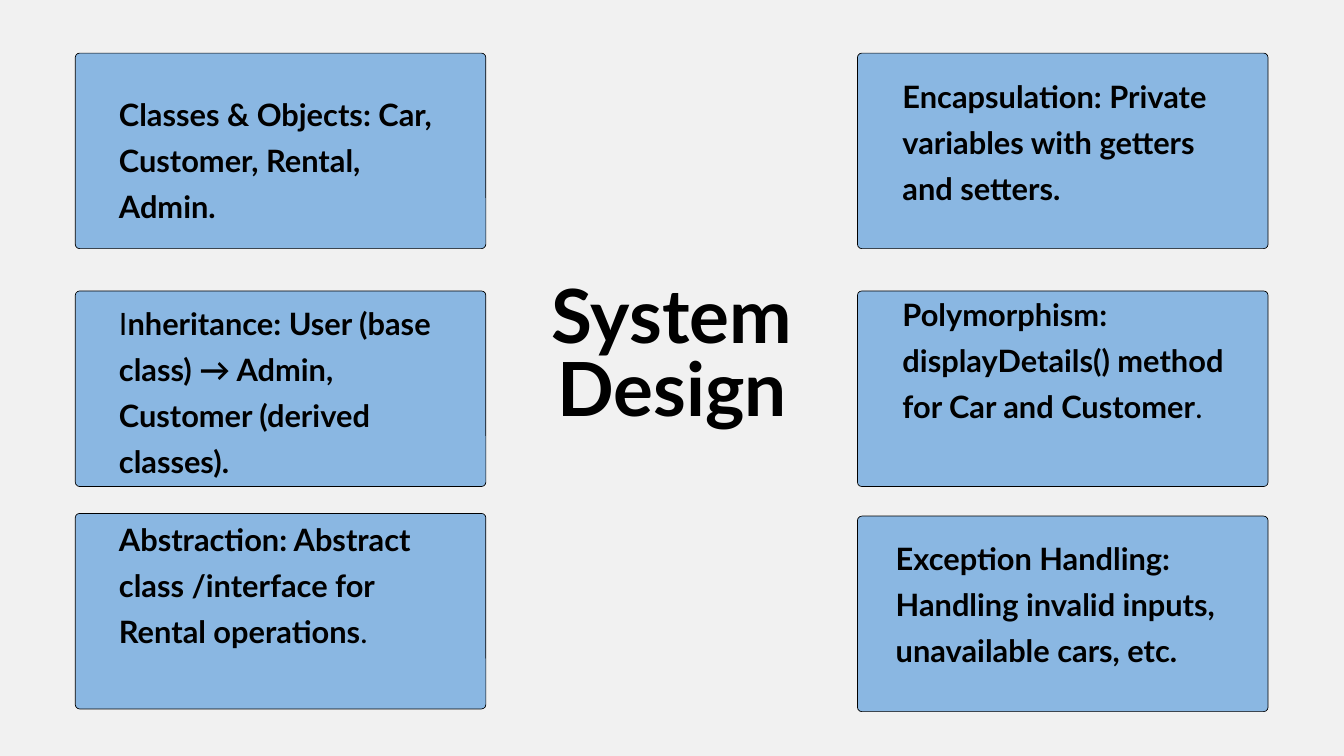
import pptx
import pptx.util
import pptx.dml.color
import pptx.enum.shapes
import pptx.enum.text

Inches = pptx.util.Inches
Pt = pptx.util.Pt
RGBColor = pptx.dml.color.RGBColor
Align = pptx.enum.text.PP_ALIGN

BACKGROUND = RGBColor(0xF1, 0xF1, 0xF1)
CARD_BLUE = RGBColor(0x8A, 0xB7, 0xE2)
BLACK = RGBColor(0, 0, 0)

CARD_WIDTH, CARD_HEIGHT = 6.11, 2.91
CARD_RADIUS = 0.065
LEFT_COLUMN, RIGHT_COLUMN = 1.12, 12.76

CARDS = [
    ((RIGHT_COLUMN, 0.79), (13.43, 1.02, 4.98, 2.47),
     [("Encapsulation: Private variables with getters and setters.", True)]),
    ((RIGHT_COLUMN, 4.33), (13.43, 4.27, 4.98, 2.98),
     [("Polymorphism: displayDetails() method for Car and Customer", True), (".", False)]),
    ((RIGHT_COLUMN, 7.68), (13.33, 7.9, 5.17, 2.3),
     [("Exception Handling: Handling invalid inputs, unavailable cars, etc.", True)]),
    ((LEFT_COLUMN, 0.79), (1.77, 1.29, 4.81, 2.48),
     [("Classes & Objects: Car, Customer, Rental, Admin.", True)]),
    ((LEFT_COLUMN, 4.33), (1.77, 4.4, 5, 2.68),
     [("I", False),
      ("nheritance: User (base class) → Admin, Customer (derived classes).", True)]),
    ((LEFT_COLUMN, 7.64), (1.77, 7.61, 4.81, 2.98),
     [("Abstraction: Abstract class /interface for Rental operations", True), (".", False)]),
]


def apply(target, values):
    for name, value in values.items():
        setattr(target, name, value)


class SlideBuilder:
    font = {"name": "Lato"}
    frame = {
        "margin_left": 0, "margin_top": 0, "margin_right": 0, "margin_bottom": 0,
        "word_wrap": True,
        "auto_size": pptx.enum.text.MSO_AUTO_SIZE.NONE,
        "vertical_anchor": pptx.enum.text.MSO_ANCHOR.TOP,
    }

    def __init__(self, slide):
        self.slide = slide
        fill = slide.background.fill
        fill.solid()
        fill.fore_color.rgb = BACKGROUND

    def fill_text(self, box, spans, size, leading, alignment):
        apply(box.text_frame, self.frame)
        para = box.text_frame.paragraphs[0]
        apply(para, {"alignment": alignment, "line_spacing": Pt(leading),
                     "space_before": Pt(0)})
        for text, bold in spans:
            span = para.add_run()
            span.text = text
            apply(span.font, {**self.font, "size": Pt(size), "bold": bold})
            span.font.color.rgb = BLACK

    def title(self, text, area):
        box = self.slide.shapes.title
        apply(box, dict(zip(("left", "top", "width", "height"), map(Inches, area))))
        self.fill_text(box, [(text, True)], 80, 77.6, Align.CENTER)

    def panel(self, left, top):
        shape = self.slide.shapes.add_shape(
            pptx.enum.shapes.MSO_SHAPE.ROUNDED_RECTANGLE,
            Inches(left), Inches(top), Inches(CARD_WIDTH), Inches(CARD_HEIGHT))
        shape.adjustments[0] = CARD_RADIUS / CARD_HEIGHT
        shape.shadow.inherit = False
        shape.fill.solid()
        shape.fill.fore_color.rgb = CARD_BLUE
        shape.line.color.rgb = BLACK
        shape.line.width = Pt(0.75)

    def text(self, spans, area):
        box = self.slide.shapes.add_textbox(*map(Inches, area))
        self.fill_text(box, spans, 33, 49.2, Align.LEFT)


def main():
    deck = pptx.Presentation()
    apply(deck, {"slide_width": Inches(20), "slide_height": Inches(11.25)})
    page = SlideBuilder(deck.slides.add_slide(deck.slide_layouts.get_by_name("Title Only")))
    for corner, area, spans in CARDS:
        page.panel(*corner)
        page.text(spans, area)
    page.title("System Design", (7.65, 4.26, 4.7, 2.21))
    deck.save("out.pptx")


if __name__ == "__main__":
    main()
